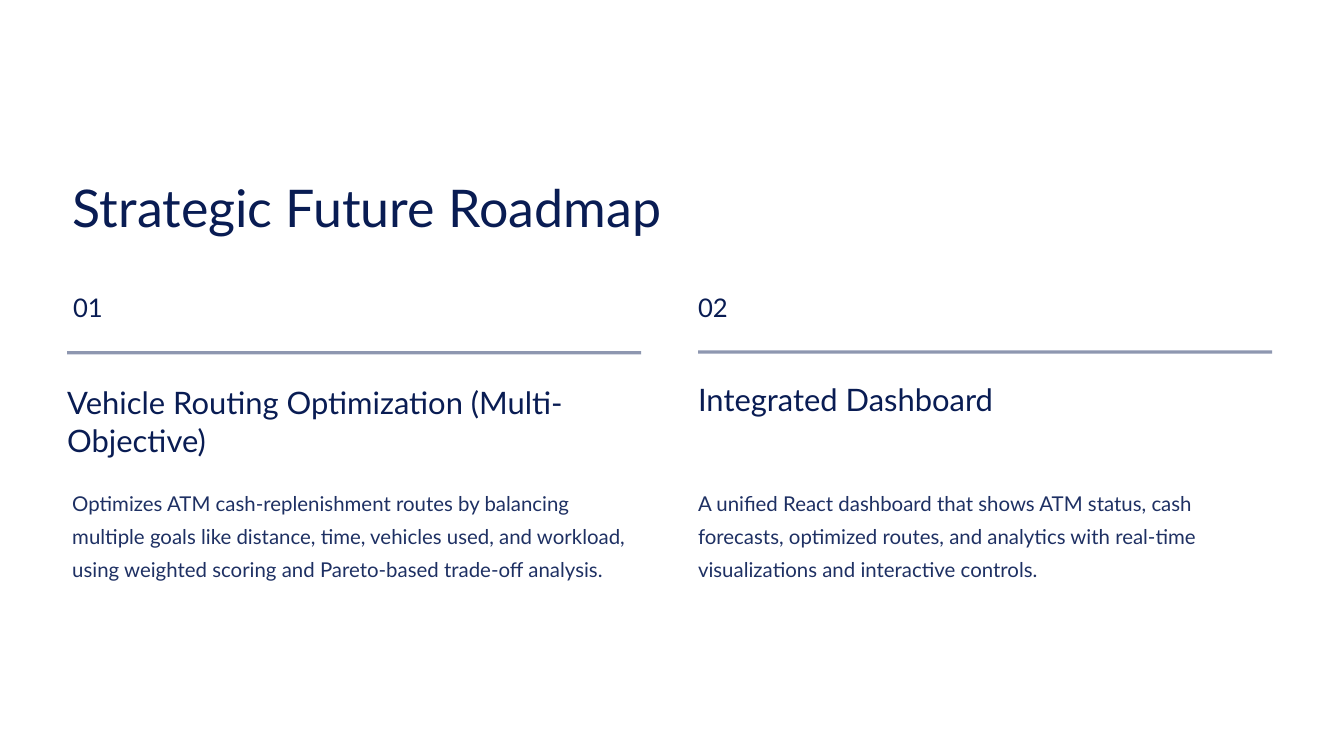
from lxml import etree
from pptx import Presentation
from pptx.dml.color import RGBColor
from pptx.enum.shapes import MSO_SHAPE
from pptx.oxml.ns import qn
from pptx.util import Pt

RECT = MSO_SHAPE.RECTANGLE
NAVY, INDIGO, WHITE = "091C53", "1E3063", "FFFFFF"


def rgb(value):
    return RGBColor.from_string(value)


class Deck:
    font = "Lato"

    def __init__(self, width, height):
        self.prs = Presentation()
        self.prs.slide_width, self.prs.slide_height = Pt(width), Pt(height)
        self.s = self.prs.slides.add_slide(self.prs.slide_layouts[6])

    def background(self, color):
        fill = self.s.background.fill
        fill.solid()
        fill.fore_color.rgb = rgb(color)

    def text(self, text, x, y, w, h, size, leading, color=NAVY, wrap=False):
        tf = self.s.shapes.add_textbox(Pt(x), Pt(y), Pt(w), Pt(h)).text_frame
        tf.margin_left = tf.margin_right = tf.margin_top = tf.margin_bottom = 0
        tf.word_wrap = wrap
        p = tf.paragraphs[0]
        p.text = text
        p.line_spacing = Pt(leading)
        p.font.name, p.font.size = self.font, Pt(size)
        p.font.color.rgb = rgb(color)

    def rule(self, x, y, w, h, color, opacity):
        sp = self.s.shapes.add_shape(RECT, Pt(x), Pt(y), Pt(w), Pt(h))
        sp.shadow.inherit = False
        sp.line.fill.background()
        sp.fill.solid()
        sp.fill.fore_color.rgb = rgb(color)
        clr = sp.fill._xPr.find(".//" + qn("a:srgbClr"))
        etree.SubElement(clr, qn("a:alpha"), val=str(opacity * 1000))


def main():
    deck = Deck(1152, 648)
    deck.background(WHITE)

    # Title
    deck.text("Strategic Future Roadmap", 62.6, 148.3, 551, 56, 44.5, 55.5)

    # Columns: number and left, rule left and top, heading and its box, body and left
    columns = [
        ("01", 62.6, 57.6, 301,
         "Vehicle Routing Optimization (Multi-Objective)", 327.6, 492, 67, True,
         "Optimizes ATM cash-replenishment routes by balancing multiple goals "
         "like distance, time, vehicles used, and workload, using weighted "
         "scoring and Pareto-based trade-off analysis.", 61.9, 114.5),
        ("02", 598.3, 598.3, 300.3,
         "Integrated Dashboard", 324.7, 276, 34, False,
         "A unified React dashboard that shows ATM status, cash forecasts, "
         "optimized routes, and analytics with real-time visualizations and "
         "interactive controls.", 598.3, 85.7),
    ]
    for (number, number_x, x, rule_y, heading, heading_y, heading_w, heading_h,
         wrap, body, body_x, body_h) in columns:
        deck.text(number, number_x, 249.1, 223, 28, 22, 27.5)
        deck.rule(x, rule_y, 492, 2.9, INDIGO, 50)
        deck.text(heading, x, heading_y, heading_w, heading_h, 26.5, 33, wrap=wrap)
        deck.text(body, body_x, 413.3, 492, body_h, 17.5, 28.5, INDIGO, True)

    deck.prs.save("out.pptx")


if __name__ == "__main__":
    main()
